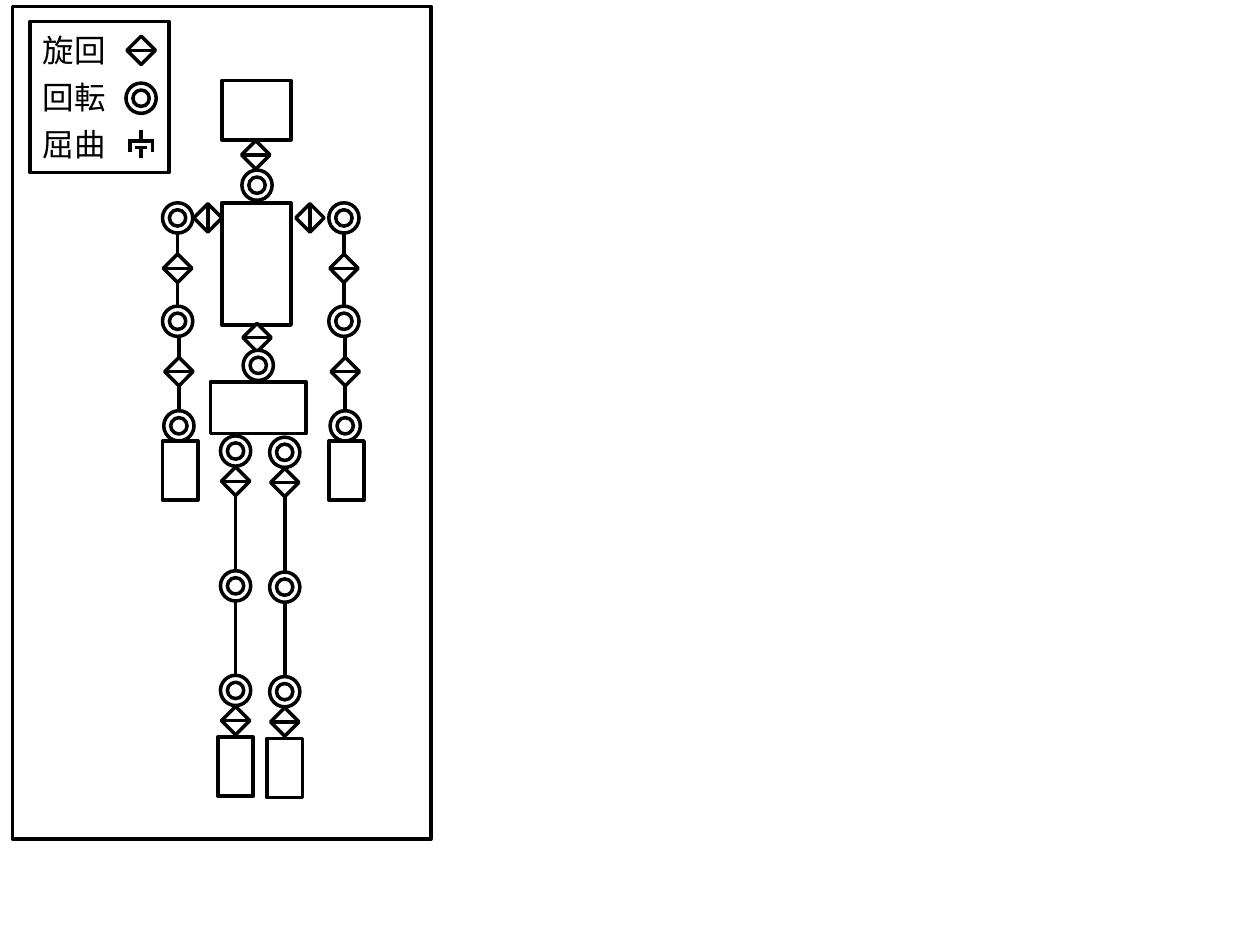
from lxml import etree
from pptx import Presentation
from pptx.dml.color import RGBColor
from pptx.enum.shapes import MSO_CONNECTOR, MSO_SHAPE
from pptx.enum.text import MSO_AUTO_SIZE
from pptx.oxml.ns import qn
from pptx.util import Inches, Pt

RECTANGLE = MSO_SHAPE.RECTANGLE
OVAL = MSO_SHAPE.OVAL
STRAIGHT = MSO_CONNECTOR.STRAIGHT
FIT_SHAPE = MSO_AUTO_SIZE.SHAPE_TO_FIT_TEXT

BLACK = "000000"
WHITE = "FFFFFF"
LABEL_FRAME = {"word_wrap": False, "auto_size": FIT_SHAPE}
LABEL_FONT = {"name": "Calibri", "size": Pt(18)}
RING_SIZE = 0.24
RING_HOLE = 0.13
DIAMOND_SIDE = 0.16
DIAMOND_REACH = 0.115


def paint(color_format, color):
    color_format.rgb = RGBColor.from_string(color)


def apply_format(target, values):
    for attribute, value in values.items():
        setattr(target, attribute, value)


def add_outline(shapes, preset, left, top, width, height):
    outline = shapes.add_shape(preset, Inches(left), Inches(top), Inches(width), Inches(height))
    outline.shadow.inherit = False
    outline.fill.solid()
    paint(outline.fill.fore_color, WHITE)
    paint(outline.line.color, BLACK)
    outline.line.width = Pt(2)
    return outline


def add_block(shapes, left, top, width, height):
    add_outline(shapes, RECTANGLE, left, top, width, height)


def add_centred(shapes, preset, x, y, size):
    return add_outline(shapes, preset, x - size / 2, y - size / 2, size, size)


def add_link(shapes, x1, y1, x2, y2):
    link = shapes.add_connector(STRAIGHT, Inches(x1), Inches(y1), Inches(x2), Inches(y2))
    paint(link.line.color, BLACK)
    link.line.width = Pt(2)
    etree.SubElement(link._element.spPr, qn("a:effectLst"))


def add_swivel(shapes, x, y, upright=False):
    joint = shapes.add_group_shape().shapes
    add_centred(joint, RECTANGLE, x, y, DIAMOND_SIDE).rotation = 45
    dx, dy = (0, DIAMOND_REACH) if upright else (DIAMOND_REACH, 0)
    add_link(joint, x - dx, y - dy, x + dx, y + dy)


def add_ring(shapes, x, y):
    joint = shapes.add_group_shape().shapes
    for size in (RING_SIZE, RING_HOLE):
        add_centred(joint, OVAL, x, y, size)


def add_bend(shapes, x, y):
    joint = shapes.add_group_shape().shapes
    add_link(joint, x - 0.1, y, x + 0.1, y)
    for side in (-0.09, 0.09):
        add_link(joint, x + side, y - 0.01, x + side, y + 0.09)
    add_link(joint, x - 0.05, y + 0.05, x + 0.05, y + 0.05)
    add_link(joint, x, y + 0.04, x, y + 0.13)
    add_link(joint, x, y - 0.09, x, y - 0.01)


def add_label(shapes, wording, top):
    label = shapes.add_textbox(Inches(0.24), Inches(top), Inches(0.71), Inches(0.4))
    apply_format(label.text_frame, LABEL_FRAME)
    run = label.text_frame.paragraphs[0].add_run()
    run.text = wording
    apply_format(run.font, LABEL_FONT)
    paint(run.font.color, BLACK)


def add_legend(shapes):
    add_block(shapes, 0.24, 0.17, 1.1, 1.2)
    entries = [("旋回", add_swivel, 0.4), ("回転", add_ring, 0.78), ("屈曲", add_bend, 1.12)]
    for row, (wording, add_symbol, y) in enumerate(entries):
        add_label(shapes, wording, 0.2 + 0.37 * row)
        add_symbol(shapes, 1.12, y)


def add_torso(shapes):
    add_block(shapes, 1.76, 0.64, 0.55, 0.47)
    add_swivel(shapes, 2.03, 1.23)
    add_ring(shapes, 2.04, 1.47)
    add_block(shapes, 1.76, 1.61, 0.55, 0.97)
    add_swivel(shapes, 2.04, 2.68)
    add_ring(shapes, 2.05, 2.9)
    add_block(shapes, 1.67, 3.03, 0.76, 0.41)


def add_arm(shapes, x, shoulder_x):
    forearm_x = x + 0.01
    add_swivel(shapes, shoulder_x, 1.73, upright=True)
    add_ring(shapes, x, 1.73)
    for segment_x, top in ((x, 1.85), (forearm_x, 2.67)):
        add_link(shapes, segment_x, top, segment_x, top + 0.19)
        add_link(shapes, segment_x, top + 0.39, segment_x, top + 0.58)
        add_swivel(shapes, segment_x, top + 0.28)
    add_ring(shapes, x, 2.55)
    add_ring(shapes, forearm_x, 3.38)
    add_block(shapes, x - 0.12, 3.5, 0.28, 0.47)


def add_leg(shapes, x, hip_y):
    add_swivel(shapes, x, hip_y + 0.24)
    add_ring(shapes, x, hip_y)
    for top in (0.35, 1.18):
        add_link(shapes, x, hip_y + top, x, hip_y + top + 0.6)
        add_ring(shapes, x, hip_y + top + 0.72)
    add_swivel(shapes, x, hip_y + 2.14)
    add_block(shapes, x - 0.14, hip_y + 2.27, 0.28, 0.47)


def main():
    presentation = Presentation()
    presentation.slide_width = Inches(10)
    presentation.slide_height = Inches(7.5)
    shapes = presentation.slides.add_slide(presentation.slide_layouts[6]).shapes

    add_block(shapes, 0.1, 0.05, 3.32, 6.61)
    add_legend(shapes)
    add_torso(shapes)
    for x, shoulder_x in ((1.41, 1.65), (2.73, 2.46)):
        add_arm(shapes, x, shoulder_x)
    for x, hip_y in ((1.87, 3.58), (2.26, 3.59)):
        add_leg(shapes, x, hip_y)

    presentation.save("out.pptx")


if __name__ == "__main__":
    main()
